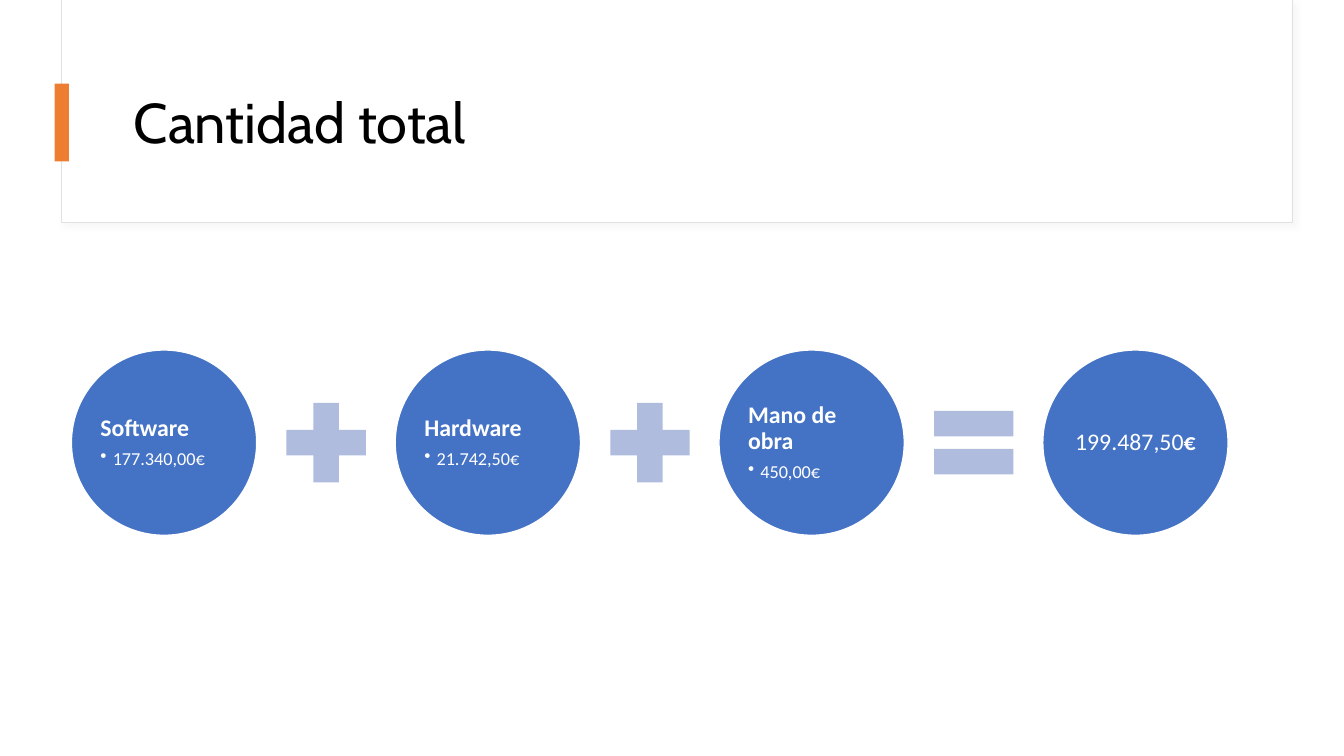
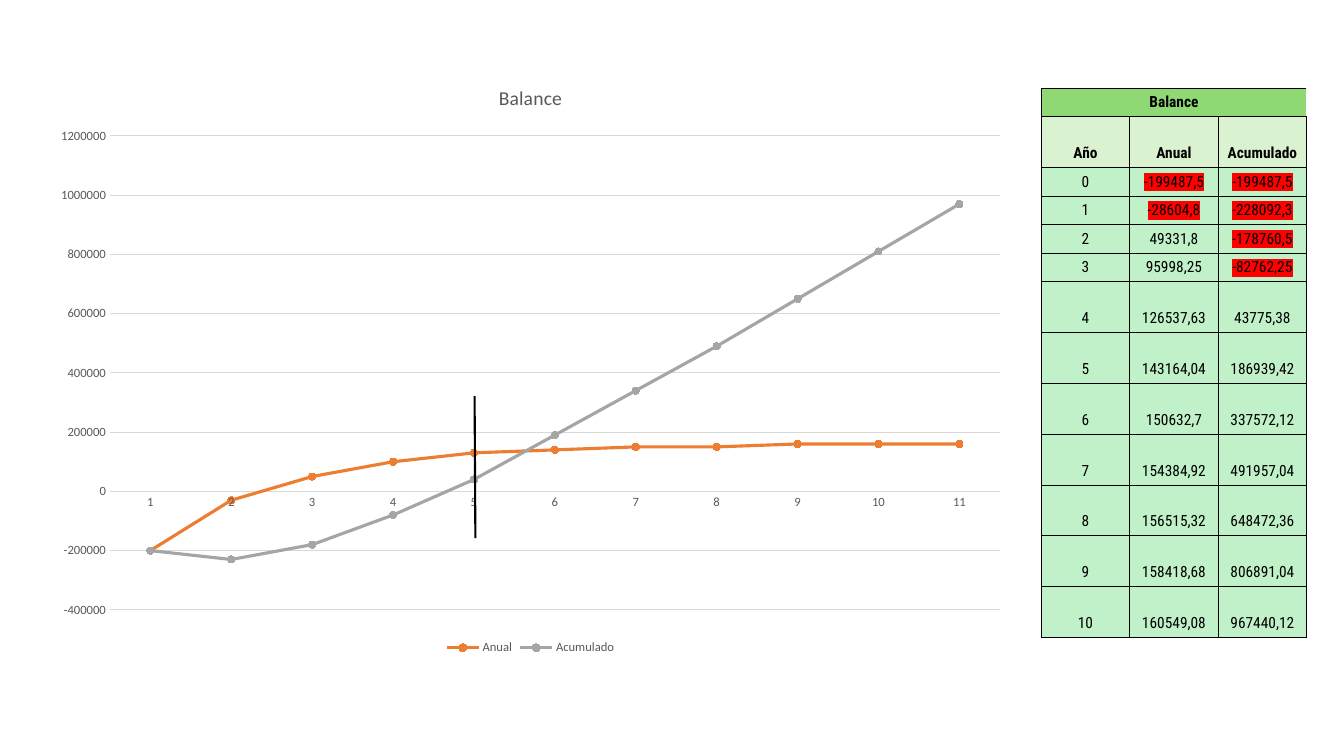
"""Build two slides: the total cost as a sum, and the yearly balance."""
from lxml import etree
from pptx import Presentation
from pptx.chart import data as chart_data
from pptx.dml.color import RGBColor
from pptx.enum import chart as chart_enum, shapes, text
from pptx.oxml import ns
from pptx.util import Cm, Pt

WHITE = RGBColor(0xFF, 0xFF, 0xFF)
BLACK = RGBColor(0, 0, 0)
BLUE = RGBColor(0x44, 0x72, 0xC4)
PALE_BLUE = RGBColor(0xB0, 0xBC, 0xDE)
ORANGE = RGBColor(0xED, 0x7D, 0x31)
SERIES_GREY = RGBColor(0xA5, 0xA5, 0xA5)
TEXT_GREY = RGBColor(0x59, 0x59, 0x59)
LINE_GREY = RGBColor(0xD9, 0xD9, 0xD9)
FRAME_GREY = RGBColor(0xE1, 0xE1, 0xE1)
DARK_GREEN = RGBColor(0x8E, 0xD9, 0x73)
LIGHT_GREEN = RGBColor(0xDA, 0xF2, 0xD0)
MINT = RGBColor(0xC0, 0xF1, 0xC8)
RED = RGBColor(0xFF, 0, 0)

TITLE_FONT = "Cabin"
BODY_FONT = "Calibri"
TABLE_FONT = "Roboto Condensed"

CIRCLE_SIZE = 4.67
CIRCLE_LEFT = 1.8
CIRCLE_TOP = 8.82
CIRCLE_STEP = 8.16
OPERATOR_SIZE = 2.72
OPERATOR_OFFSET = 5.06

COSTS = [
    ("Software", "177.340,00€"),
    ("Hardware", "21.742,50€"),
    ("Mano de obra", "450,00€"),
]
OPERATORS = [
    shapes.MSO_SHAPE.MATH_PLUS,
    shapes.MSO_SHAPE.MATH_PLUS,
    shapes.MSO_SHAPE.MATH_EQUAL,
]

TABLE_TITLE = "Balance"
HEADINGS = ("Año", "Anual", "Acumulado")
BALANCE = [
    ("0", "-199487,5", "-199487,5"),
    ("1", "-28604,8", "-228092,3"),
    ("2", "49331,8", "-178760,5"),
    ("3", "95998,25", "-82762,25"),
    ("4", "126537,63", "43775,38"),
    ("5", "143164,04", "186939,42"),
    ("6", "150632,7", "337572,12"),
    ("7", "154384,92", "491957,04"),
    ("8", "156515,32", "648472,36"),
    ("9", "158418,68", "806891,04"),
    ("10", "160549,08", "967440,12"),
]
SHORT_ROW = 0.72
TALL_ROW = 1.28
ROW_HEIGHTS = [SHORT_ROW, TALL_ROW] + [SHORT_ROW] * 4 + [TALL_ROW] * 7


def add_element(parent, tag, **attributes):
    """Append a DrawingML element to a parent and return it."""
    return etree.SubElement(parent, ns.qn(tag), attributes)


def add_colour(parent, colour):
    """Append an RGB colour element and return it."""
    return add_element(parent, "a:srgbClr", val=str(colour))


def set_font(font, name, size, colour, bold=False):
    """Set the face, size, colour and weight of a font."""
    font.name = name
    font.size = Pt(size)
    font.color.rgb = colour
    font.bold = bold


def add_shape(slide, kind, left, top, width, height, fill, line=None, line_width=1):
    """Add a filled preset shape, with an outline if a line colour is given."""
    shape = slide.shapes.add_shape(kind, Cm(left), Cm(top), Cm(width), Cm(height))
    shape.shadow.inherit = False
    shape.fill.solid()
    shape.fill.fore_color.rgb = fill
    if line is None:
        shape.line.fill.background()
    else:
        shape.line.color.rgb = line
        shape.line.width = Pt(line_width)
    return shape


def add_soft_shadow(shape):
    """Give a shape a pale shadow towards the lower right."""
    effects = shape._element.spPr.find(ns.qn("a:effectLst"))
    shadow = add_element(effects, "a:outerShdw", blurRad=str(Pt(4)), dist=str(Pt(3)),
                         dir="2700000", algn="tl", rotWithShape="0")
    add_element(add_colour(shadow, LINE_GREY), "a:alpha", val="20000")


def add_title_band(slide, title):
    """Add the framed title band with its orange marker."""
    rectangle = shapes.MSO_SHAPE.RECTANGLE
    frame = add_shape(slide, rectangle, 1.55, 0, 31.03, 5.61, WHITE, FRAME_GREY, 0.75)
    add_soft_shadow(frame)
    box = slide.shapes.add_textbox(Cm(3.12), Cm(1.52), Cm(28.24), Cm(3.28))
    box.text_frame.word_wrap = True
    box.text_frame.vertical_anchor = text.MSO_ANCHOR.MIDDLE
    paragraph = box.text_frame.paragraphs[0]
    paragraph.text = title
    paragraph.line_spacing = 0.9
    set_font(paragraph.font, TITLE_FONT, 40, BLACK)
    add_shape(slide, rectangle, 1.38, 2.11, 0.36, 1.96, ORANGE)


def add_circle(slide, position):
    """Add the circle at a position in the sum and return its text frame."""
    circle = add_shape(slide, shapes.MSO_SHAPE.OVAL, CIRCLE_LEFT + position * CIRCLE_STEP,
                       CIRCLE_TOP, CIRCLE_SIZE, CIRCLE_SIZE, BLUE, WHITE)
    frame = circle.text_frame
    frame.word_wrap = True
    frame.vertical_anchor = text.MSO_ANCHOR.MIDDLE
    frame.margin_left = frame.margin_right = Cm(0.05)
    frame.margin_top = frame.margin_bottom = Cm(0.05)
    return frame


def style_circle_paragraph(paragraph, size, space_after, alignment, bold=False):
    """Set the spacing, alignment and font of a paragraph in a circle."""
    paragraph.alignment = alignment
    paragraph.line_spacing = 0.9
    paragraph.space_after = Pt(space_after)
    set_font(paragraph.font, BODY_FONT, size, WHITE, bold)


def add_cost(slide, position, name, amount):
    """Add a circle with a cost name and its amount as a bullet."""
    frame = add_circle(slide, position)
    heading = frame.paragraphs[0]
    heading.text = name
    style_circle_paragraph(heading, 17, 6, text.PP_ALIGN.LEFT, True)
    bullet = frame.add_paragraph()
    bullet.text = amount
    bullet.runs[0].font.size = Pt(13)
    bullet.level = 1
    properties = bullet._p.get_or_add_pPr()
    properties.set("marL", str(Cm(0.31)))
    properties.set("indent", str(-Cm(0.31)))
    add_element(properties, "a:buChar", char="•")
    style_circle_paragraph(bullet, 13, 2, text.PP_ALIGN.LEFT)


def add_total(slide, position, amount):
    """Add the circle with the total and a bold euro sign."""
    paragraph = add_circle(slide, position).paragraphs[0]
    paragraph.add_run().text = amount
    euro = paragraph.add_run()
    euro.text = "€"
    euro.font.bold = True
    style_circle_paragraph(paragraph, 17, 6, text.PP_ALIGN.CENTER)


def add_operator(slide, position, kind):
    """Add the plus or equals sign that follows a circle."""
    left = CIRCLE_LEFT + position * CIRCLE_STEP + OPERATOR_OFFSET
    top = CIRCLE_TOP + (CIRCLE_SIZE - OPERATOR_SIZE) / 2
    add_shape(slide, kind, left, top, OPERATOR_SIZE, OPERATOR_SIZE, PALE_BLUE)


def to_rounded_number(label):
    """Read a number with a decimal comma, rounded to ten thousands."""
    return round(float(label.replace(",", ".")), -4)


def style_axis(axis):
    """Set what both chart axes share."""
    axis.major_tick_mark = axis.minor_tick_mark = chart_enum.XL_TICK_MARK.NONE
    set_font(axis.tick_labels.font, BODY_FONT, 9, TEXT_GREY)


def add_balance_chart(slide):
    """Add the line chart of the yearly and accumulated balance."""
    values = chart_data.CategoryChartData()
    values.categories = [str(number) for number in range(1, len(BALANCE) + 1)]
    for column, name in enumerate(HEADINGS[1:], 1):
        values.add_series(name, [to_rounded_number(row[column]) for row in BALANCE])
    chart = slide.shapes.add_chart(chart_enum.XL_CHART_TYPE.LINE_MARKERS, Cm(1.05), Cm(1.6),
                                   Cm(24.64), Cm(15.01), values).chart
    set_font(chart.font, BODY_FONT, 10, BLACK)
    chart.has_title = True
    title = chart.chart_title.text_frame.paragraphs[0]
    title.text = TABLE_TITLE
    set_font(title.font, BODY_FONT, 14, TEXT_GREY)
    chart.has_legend = True
    chart.legend.position = chart_enum.XL_LEGEND_POSITION.BOTTOM
    chart.legend.include_in_layout = False
    set_font(chart.legend.font, BODY_FONT, 9, TEXT_GREY)

    style_axis(chart.category_axis)
    style_axis(chart.value_axis)
    chart.value_axis.minimum_scale = -400000
    chart.value_axis.maximum_scale = 1200000
    chart.value_axis.major_unit = 200000
    chart.value_axis.format.line.fill.background()
    for line in (chart.category_axis.format.line, chart.value_axis.major_gridlines.format.line):
        line.color.rgb = LINE_GREY
        line.width = Pt(0.75)

    chart.plots[0].vary_by_categories = False
    for series, colour in zip(chart.plots[0].series, (ORANGE, SERIES_GREY)):
        series.smooth = False
        series.format.line.color.rgb = colour
        series.format.line.width = Pt(2.25)
        series.marker.style = chart_enum.XL_MARKER_STYLE.CIRCLE
        series.marker.size = 5
        series.marker.format.fill.solid()
        series.marker.format.fill.fore_color.rgb = colour
        series.marker.format.line.color.rgb = colour


def add_break_even_line(slide):
    """Add the black line that marks the year of break-even."""
    line = slide.shapes.add_connector(shapes.MSO_CONNECTOR.STRAIGHT,
                                      Cm(11.96), Cm(9.98), Cm(11.98), Cm(13.56))
    line.line.color.rgb = BLACK
    line.line.width = Pt(1.5)
    add_element(line._element.spPr, "a:effectLst")


def set_borders(cell, widths):
    """Draw black cell borders, given a width in points for each side."""
    properties = cell._tc.get_or_add_tcPr()
    for index, (side, width) in enumerate(widths.items()):
        border = etree.Element(ns.qn(f"a:ln{side}"), w=str(Pt(width)))
        add_colour(add_element(border, "a:solidFill"), BLACK)
        properties.insert(index, border)


def fill_cell(cell, label, fill, widths, bold=False):
    """Write a table cell, with negative amounts highlighted in red."""
    cell.fill.solid()
    cell.fill.fore_color.rgb = fill
    set_borders(cell, widths)
    cell.vertical_anchor = text.MSO_ANCHOR.BOTTOM
    cell.margin_left = cell.margin_right = cell.margin_top = Cm(0.03)
    cell.margin_bottom = Cm(0.13)
    paragraph = cell.text_frame.paragraphs[0]
    paragraph.alignment = text.PP_ALIGN.CENTER
    run = paragraph.add_run()
    run.text = label
    set_font(paragraph.font, TABLE_FONT, 11, BLACK, bold)
    if label.startswith("-"):
        add_colour(add_element(run._r.get_or_add_rPr(), "a:highlight"), RED)


def add_balance_table(slide):
    """Add the table of the balance for each year."""
    table = slide.shapes.add_table(len(ROW_HEIGHTS), len(HEADINGS), Cm(26.24), Cm(2.22),
                                   Cm(2.23 * len(HEADINGS)), Cm(sum(ROW_HEIGHTS))).table
    table.first_row = table.horz_banding = False
    for column in table.columns:
        column.width = Cm(2.23)
    for row, height in zip(table.rows, ROW_HEIGHTS):
        row.height = Cm(height)
    table.cell(0, 0).merge(table.cell(0, len(HEADINGS) - 1))
    fill_cell(table.cell(0, 0), TABLE_TITLE, DARK_GREEN, {"L": 1, "T": 1, "B": 1}, True)
    for column, heading in enumerate(HEADINGS):
        fill_cell(table.cell(1, column), heading, LIGHT_GREEN, dict.fromkeys("LRTB", 1), True)
    for row, labels in enumerate(BALANCE):
        for column, label in enumerate(labels):
            outer = {"L": column == 0, "R": column == len(labels) - 1,
                     "T": row == 0, "B": row == len(BALANCE) - 1}
            widths = {side: 1 if edge else 0.5 for side, edge in outer.items()}
            fill_cell(table.cell(row + 2, column), label, MINT, widths)


def main():
    """Build and save the presentation."""
    presentation = Presentation()
    presentation.slide_width = Cm(33.87)
    presentation.slide_height = Cm(19.05)
    blank = presentation.slide_layouts[6]

    total_slide = presentation.slides.add_slide(blank)
    add_title_band(total_slide, "Cantidad total")
    for position, ((name, amount), operator) in enumerate(zip(COSTS, OPERATORS)):
        add_cost(total_slide, position, name, amount)
        add_operator(total_slide, position, operator)
    add_total(total_slide, len(COSTS), "199.487,50")

    balance_slide = presentation.slides.add_slide(blank)
    add_balance_chart(balance_slide)
    add_break_even_line(balance_slide)
    add_balance_table(balance_slide)
    presentation.save("out.pptx")


if __name__ == "__main__":
    main()
